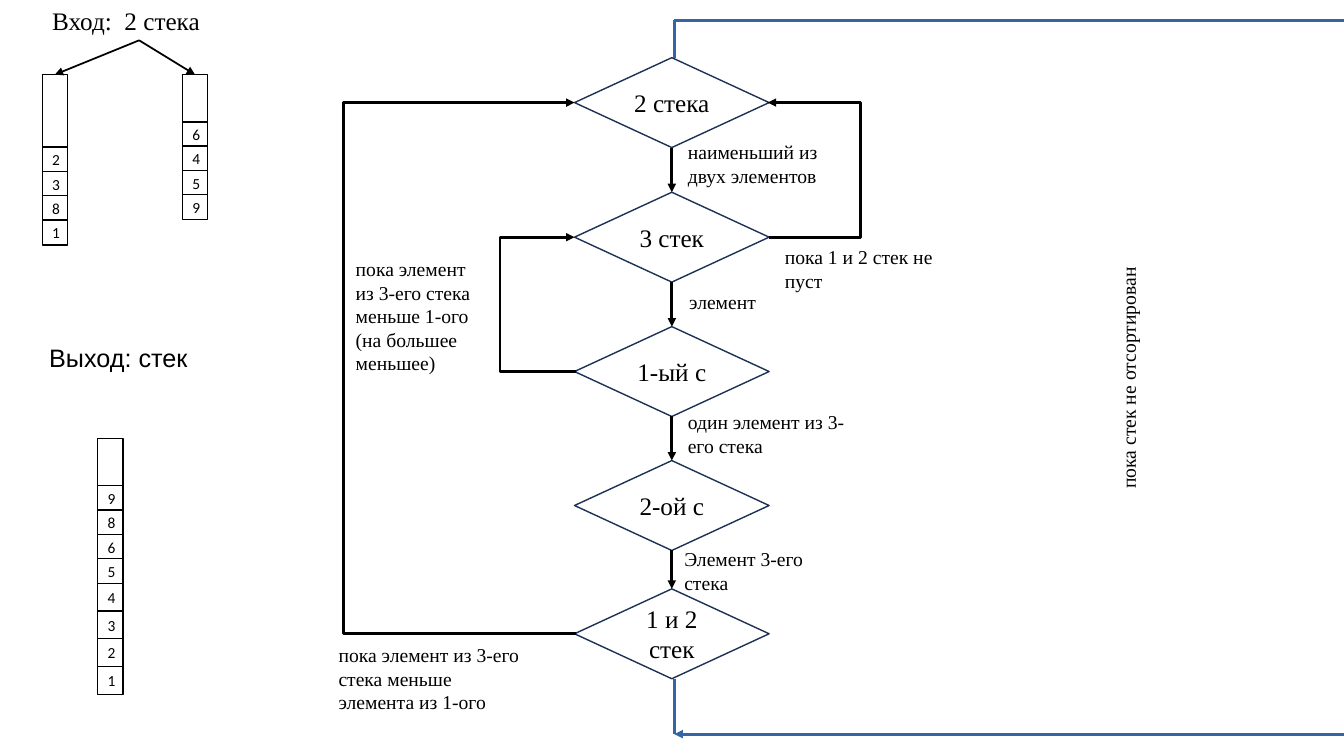
from lxml.etree import SubElement
from pptx import Presentation
from pptx.dml.color import RGBColor
from pptx.enum.shapes import MSO_CONNECTOR, MSO_SHAPE
from pptx.enum.text import MSO_ANCHOR, PP_ALIGN
from pptx.oxml.ns import qn
from pptx.util import Pt

SERIF = "Times New Roman"
BLACK, WHITE, NAVY, BLUE = "000000", "FFFFFF", "1D3155", "3465A4"
SLIDE_WIDTH, SLIDE_HEIGHT = 960, 540

# Stacks: left, top of the empty part
CELL_WIDTH, EMPTY_HEIGHT = 18, 51.8
EMPTY_PARTS = [(30.2, 53.3), (130.3, 53.3), (69.8, 313.2)]
# Runs of cells: left, top, values, cell height, pitch
CELL_RUNS = [
    (30.2, 105.1, "2381", 18, 17.3),
    (130.3, 87.1, "6459", 18, 17.3),
    (69.8, 347, "9865", 18, 17.3),
    (69.8, 416.9, "4321", 20, 19.7),
]
INPUT_ARROW_START = (99.4, 28.8)

DIAMOND_LEFT, DIAMOND_WIDTH, DIAMOND_HEIGHT = 410.4, 139, 64.2
DIAMONDS = [
    ("2 стека", 41.2),
    ("3 стек", 137.3),
    ("1-ый с", 233.3),
    ("2-ой с", 329),
    ("1 и 2 стек", 420.6),
]
# Return loops: target diamond, source diamond, x of the vertical part
LOOPS = [(0, 4, 244.3), (0, 1, 615.4), (1, 2, 356.7)]

# Labels: text, left, top, width, height, format
LABELS = [
    ("Вход:  2 стека", 30.2, 0, 139, 28.8, {"size": 18}),
    ("Выход: стек", 28.1, 241.2, 113, 27.4, {"size": 18, "font": "Arial", "wrap": False}),
    ("наименьший из двух элементов", 484.2, 96.5, 128.2, 41, {}),
    ("элемент", 485.2, 203.8, 128.2, 24, {}),
    ("один элемент из 3-его стека", 484.2, 289.4, 128.2, 41, {}),
    ("пока 1 и 2 стек не пуст", 553.5, 171.4, 128.2, 41, {}),
    ("пока элемент из 3-его стека меньше элемента из 1-ого",
     234.7, 455.8, 147.6, 57.6, {}),
    ("пока элемент из 3-его стека меньше 1-ого (на большее меньшее)",
     247, 180, 100, 91.4, {}),
    ("Элемент 3-его стека", 481.7, 387.4, 99.4, 38.2, {}),
    ("пока стек не отсортирован", 726.3, 247.7, 176, 41, {"rotation": 270}),
]

OUTER_X, OUTER_TOP, OUTER_BOTTOM = 481.7, 14.4, 524.4


def color(value):
    return RGBColor.from_string(value)


def write(shape, text, size=14, font=SERIF, align=PP_ALIGN.LEFT,
          anchor=MSO_ANCHOR.TOP, wrap=True):
    frame = shape.text_frame
    frame.word_wrap = wrap
    frame.vertical_anchor = anchor
    paragraph = frame.paragraphs[0]
    paragraph.alignment = align
    run = paragraph.add_run()
    run.text = text
    run.font.size = Pt(size)
    run.font.name = font
    run.font.color.rgb = color(BLACK)


def add_box(kind, left, top, width, height, line, text="", **text_format):
    shape = slide.shapes.add_shape(kind, Pt(left), Pt(top), Pt(width), Pt(height))
    shape.shadow.inherit = False
    shape.fill.solid()
    shape.fill.fore_color.rgb = color(WHITE)
    shape.line.color.rgb = color(line)
    shape.line.width = Pt(1)
    if text:
        write(shape, text, align=PP_ALIGN.CENTER, anchor=MSO_ANCHOR.MIDDLE, **text_format)
    return shape


def add_label(text, left, top, width, height, rotation=0, **text_format):
    label = slide.shapes.add_textbox(Pt(left), Pt(top), Pt(width), Pt(height))
    label.rotation = rotation
    write(label, text, **text_format)


def add_line(start, end, line=BLACK, width=2.0, arrow=None, kind=MSO_CONNECTOR.STRAIGHT):
    """Draw a connector; arrow is "headEnd" (at start), "tailEnd" (at end) or None."""
    connector = slide.shapes.add_connector(kind, *(Pt(value) for value in (*start, *end)))
    connector.line.color.rgb = color(line)
    connector.line.width = Pt(width)
    properties = connector.element.spPr
    if arrow:
        SubElement(properties.find(qn("a:ln")), qn(f"a:{arrow}"), type="triangle")
    SubElement(properties, qn("a:effectLst"))
    return connector


def add_loop(target, source, turn_x):
    """Lead from the side of one diamond back to the same side of an earlier one."""
    target_y, source_y = (DIAMONDS[index][1] + DIAMOND_HEIGHT / 2 for index in (target, source))
    on_left = turn_x < DIAMOND_LEFT
    x = DIAMOND_LEFT if on_left else DIAMOND_LEFT + DIAMOND_WIDTH - 1
    connector = add_line((x, target_y), (x + 1, source_y),
                         arrow="headEnd", kind=MSO_CONNECTOR.ELBOW)
    geometry = connector.element.spPr.find(qn("a:prstGeom"))
    adjustments = geometry.find(qn("a:avLst"))
    if adjustments is None:
        adjustments = SubElement(geometry, qn("a:avLst"))
    turn = round((turn_x - x) * 100000)
    SubElement(adjustments, qn("a:gd"), name="adj1", fmla=f"val {turn}")


presentation = Presentation()
presentation.slide_width = Pt(SLIDE_WIDTH)
presentation.slide_height = Pt(SLIDE_HEIGHT)
slide = presentation.slides.add_slide(presentation.slide_layouts[6])

for left, top in EMPTY_PARTS:
    add_box(MSO_SHAPE.RECTANGLE, left, top, CELL_WIDTH, EMPTY_HEIGHT, BLACK)
for left, top, values, height, pitch in CELL_RUNS:
    for index, value in enumerate(values):
        add_box(MSO_SHAPE.RECTANGLE, left, top + index * pitch, CELL_WIDTH, height,
                BLACK, value, size=11, font="Calibri")
for left, top in EMPTY_PARTS[:2]:
    add_line(INPUT_ARROW_START, (left + CELL_WIDTH / 2, top), width=1.25, arrow="tailEnd")

diamonds = [
    add_box(MSO_SHAPE.DIAMOND, DIAMOND_LEFT, top, DIAMOND_WIDTH, DIAMOND_HEIGHT,
            NAVY, text, size=18)
    for text, top in DIAMONDS
]
for upper, lower in zip(diamonds, diamonds[1:]):
    connector = add_line((0, 0), (0, 0), arrow="tailEnd")
    connector.begin_connect(upper, 2)
    connector.end_connect(lower, 0)
for loop in LOOPS:
    add_loop(*loop)

for text, left, top, width, height, text_format in LABELS:
    add_label(text, left, top, width, height, **text_format)

first_top = DIAMONDS[0][1]
last_bottom = DIAMONDS[-1][1] + DIAMOND_HEIGHT
for start, end, arrow in [
    ((OUTER_X, last_bottom), (OUTER_X, OUTER_BOTTOM), None),
    ((OUTER_X, OUTER_TOP), (OUTER_X, first_top), None),
    ((OUTER_X, OUTER_TOP), (SLIDE_WIDTH, OUTER_TOP), None),
    ((SLIDE_WIDTH, OUTER_BOTTOM), (OUTER_X, OUTER_BOTTOM), "tailEnd"),
]:
    add_line(start, end, line=BLUE, width=0, arrow=arrow)

presentation.save("out.pptx")
